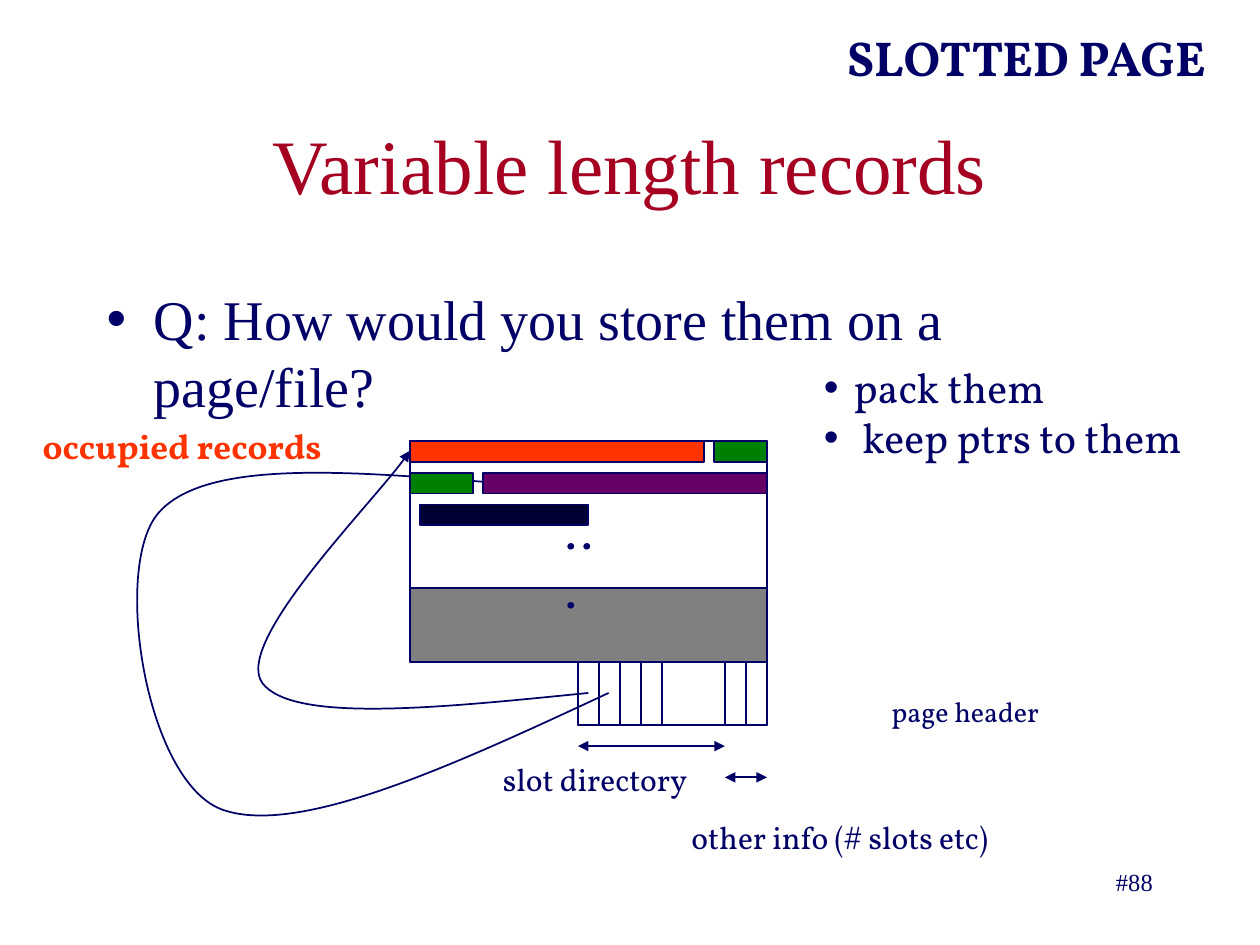
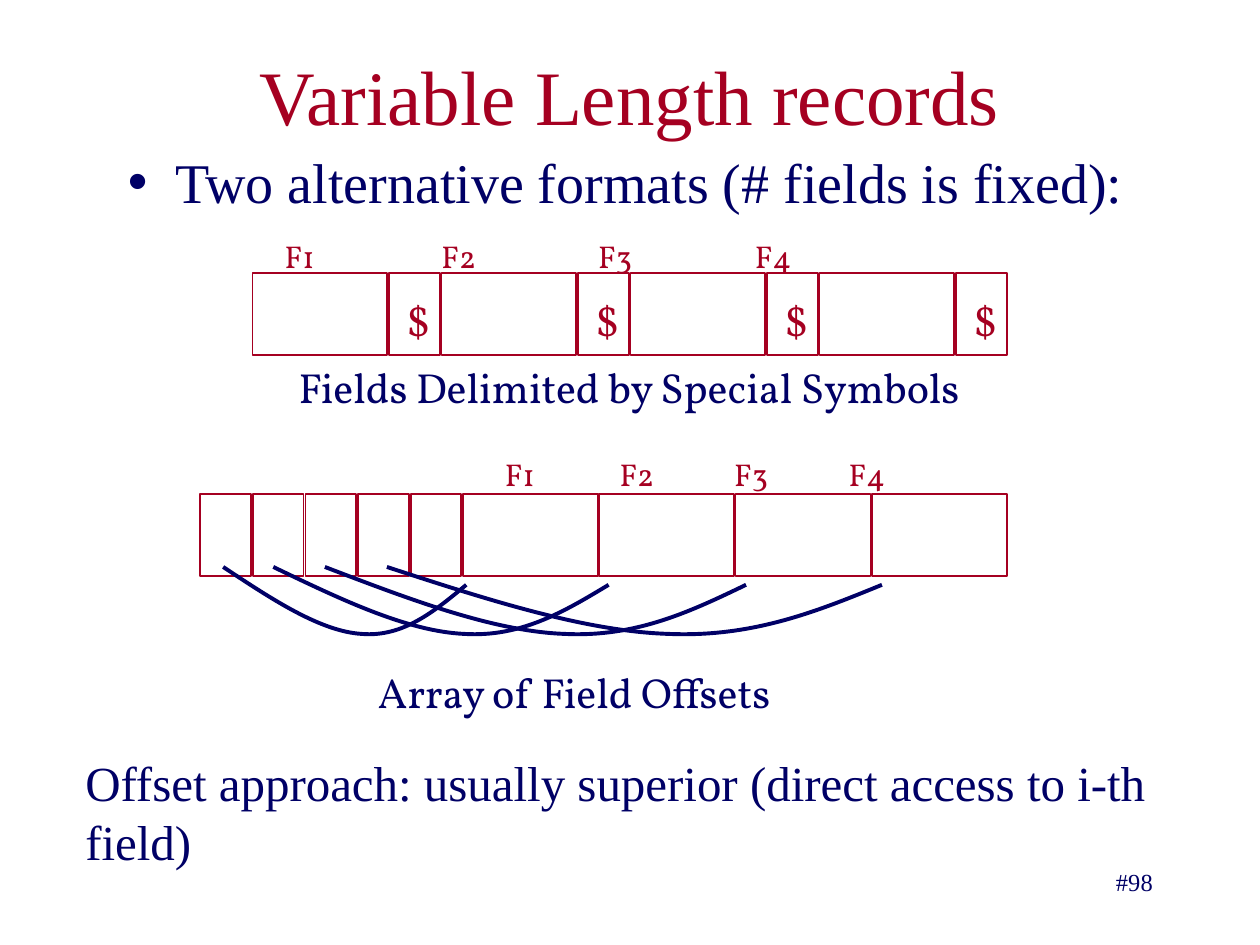
from lxml.etree import SubElement
from pptx import Presentation
from pptx.dml.color import RGBColor
from pptx.enum.shapes import MSO_CONNECTOR, MSO_SHAPE
from pptx.enum.text import MSO_ANCHOR, MSO_AUTO_SIZE, PP_ALIGN
from pptx.oxml.ns import qn
from pptx.util import Cm, Pt

NAVY = "000066"
CRIMSON = "A50021"
ORANGE = "FF3300"
GREEN = "008000"
PURPLE = "660066"
MIDNIGHT = "000033"
GREY = "808080"
SERIF = "Times New Roman"
BOOK = "Vollkorn"

TITLE = {"name": SERIF, "size": Pt(44), "bold": False}
BODY = {"name": SERIF, "size": Pt(32)}
REMARK = {"name": SERIF, "size": Pt(28)}
FOOTER = {"name": SERIF, "size": Pt(14)}
BANNER = {"name": BOOK, "size": Pt(28), "bold": True}
DOTS = {"name": BOOK, "size": Pt(28)}
CAPTION = {"name": BOOK, "size": Pt(24)}
KEY = {"name": BOOK, "size": Pt(20), "bold": True}
LABEL = {"name": BOOK, "size": Pt(18)}
SMALL = {"name": BOOK, "size": Pt(16)}


def paint(color_format, color):
    color_format.rgb = RGBColor.from_string(color)


def set_formats(target, formats):
    for attribute, value in formats.items():
        setattr(target, attribute, value)


def add_bullet(paragraph, indent):
    properties = paragraph._p.get_or_add_pPr()
    properties.set("marL", str(Cm(indent)))
    properties.set("indent", str(-Cm(indent)))
    SubElement(properties, qn("a:buFont"), typeface="Arial")
    SubElement(properties, qn("a:buChar"), char="•")


def add_tabs(paragraph, pitch, count):
    stops = SubElement(paragraph._p.get_or_add_pPr(), qn("a:tabLst"))
    for number in range(1, count + 1):
        SubElement(stops, qn("a:tab"), pos=str(Cm(pitch * number)), algn="l")


def add_text(slide, box, lines, style, color=NAVY, align=PP_ALIGN.LEFT,
             wrap=False, indent=None, tab_pitch=None):
    frame = slide.shapes.add_textbox(*map(Cm, box)).text_frame
    frame.word_wrap = wrap
    for number, line in enumerate(lines):
        paragraph = frame.add_paragraph() if number else frame.paragraphs[0]
        paragraph.alignment = align
        if indent:
            add_bullet(paragraph, indent)
        if tab_pitch:
            add_tabs(paragraph, tab_pitch, line.count("\t"))
        run = paragraph.add_run()
        run.text = line
        set_formats(run.font, style)
        paint(run.font.color, color)


def add_title(slide, box, text):
    title = slide.shapes.title
    left, top, width, height = map(Cm, box)
    set_formats(title, {"left": left, "top": top, "width": width, "height": height})
    frame = title.text_frame
    frame.text = text
    set_formats(frame, {"vertical_anchor": MSO_ANCHOR.MIDDLE, "word_wrap": True,
                        "auto_size": MSO_AUTO_SIZE.NONE})
    paragraph = frame.paragraphs[0]
    paragraph.alignment = PP_ALIGN.CENTER
    font = paragraph.runs[0].font
    set_formats(font, TITLE)
    paint(font.color, CRIMSON)


def start_slide(deck, title_box, title, number):
    slide = deck.slides.add_slide(deck.slide_layouts[5])
    add_title(slide, title_box, title)
    add_text(slide, (18.2, 17.36, 5.29, 1.27), [number], FOOTER,
             align=PP_ALIGN.RIGHT, wrap=True)
    return slide


def add_block(slide, box, fill=None, outline=NAVY):
    block = slide.shapes.add_shape(MSO_SHAPE.RECTANGLE, *map(Cm, box))
    block.shadow.inherit = False
    if fill:
        block.fill.solid()
        paint(block.fill.fore_color, fill)
    else:
        block.fill.background()
    paint(block.line.color, outline)
    block.line.width = Pt(1)


def add_arrowheads(outlined, *ends):
    line = outlined._element.spPr.find(qn("a:ln"))
    for end in ends:
        SubElement(line, qn(f"a:{end}"), type="triangle")


def add_span(slide, left, right, y):
    span = slide.shapes.add_connector(MSO_CONNECTOR.STRAIGHT, Cm(left), Cm(y), Cm(right), Cm(y))
    paint(span.line.color, NAVY)
    span.line.width = Pt(1)
    add_arrowheads(span, "headEnd", "tailEnd")
    SubElement(span._element.spPr, qn("a:effectLst"))


def add_curve(slide, origin, points, weight):
    left, top = origin
    start, *controls = [(Cm(left + x), Cm(top + y)) for x, y in points]
    builder = slide.shapes.build_freeform(*start)
    builder.add_line_segments(controls, close=False)
    curve = builder.convert_to_shape()
    outline = next(curve._element.iter(qn("a:path")))
    segments = outline.findall(qn("a:lnTo"))
    for first in range(0, len(segments), 3):
        bezier = SubElement(outline, qn("a:cubicBezTo"))
        for segment in segments[first:first + 3]:
            bezier.append(segment[0])
            outline.remove(segment)
    curve.shadow.inherit = False
    curve.fill.background()
    paint(curve.line.color, NAVY)
    curve.line.width = Pt(weight)
    return curve


def draw_pointers(slide, origin):
    to_first = [(3.6, 5.08), (0.61, 5.38), (-2.36, 5.69), (-2.97, 4.88),
                (-3.56, 4.06), (-0.48, 0.99), (0, 0.2)]
    to_third = [(4.01, 5.08), (0.86, 6.55), (-2.29, 8), (-3.81, 7.42),
                (-5.33, 6.81), (-5.99, 2.57), (-5.08, 1.47),
                (-4.17, 0.38), (-1.24, 0.61), (1.7, 0.84)]
    for points in (to_first, to_third):
        add_arrowheads(add_curve(slide, origin, points, 1), "tailEnd")


def draw_slots(slide, box):
    left, top, width, height = box
    slot_width = width / 9
    for position in (0, 1, 2, 3, 7, 8):
        add_block(slide, (left + position * slot_width, top, slot_width, height))
    add_block(slide, box)
    info_left = left + 7 * slot_width
    add_span(slide, left, info_left, top + 1.7)
    add_span(slide, info_left, left + width, top + 2.33)
    for x, y, label_width, text, style in [
            (6.07, -0.73, 3.86, "page header", SMALL),
            (-1.76, 0.59, 4.42, "slot directory", LABEL),
            (2.04, 1.76, 7.01, "other info (# slots etc)", LABEL)]:
        label_top = top + height + y
        add_text(slide, (left + x, label_top, label_width, 1.02), [text], style)


def draw_page(slide, box):
    left, top, width, height = box
    free_top = 2.96
    add_block(slide, (left, top + free_top, width, height - free_top), GREY)
    draw_slots(slide, (left + 3.39, top + height, 3.81, 1.27))
    draw_pointers(slide, (left, top))
    add_block(slide, box)
    records = [(0, 0, 5.93, ORANGE), (0, 6.14, 1.06, GREEN),
               (1, 0, 1.27, GREEN), (1, 1.48, 5.72, PURPLE),
               (2, 0.21, 3.39, MIDNIGHT)]
    for row, x, record_width, color in records:
        add_block(slide, (left + x, top + 0.64 * row, record_width, 0.42), color)
    add_text(slide, (left + 2.9, top + 1.07, 1.3, 1.45), ["..."], DOTS, wrap=True)


def slotted_page_slide(deck):
    slide = start_slide(deck, (1.9, 1.7, 21.59, 3.18), "Variable length records", "#88")
    add_text(slide, (1.9, 5.61, 21.59, 3), ["Q: How would you store them on a page/file?"],
             BODY, wrap=True, indent=0.95)
    add_text(slide, (0.61, 8.43, 6.5, 1.12), ["occupied records"], KEY, ORANGE)
    add_text(slide, (16.36, 7.16, 8.13, 2.4), ["pack them", " keep ptrs to them"],
             CAPTION, wrap=True, indent=0.6)
    add_text(slide, (16.74, 0.43, 7.9, 1.45), ["SLOTTED PAGE"], BANNER, align=PP_ALIGN.CENTER)
    draw_page(slide, (8.26, 8.89, 7.2, 4.45))


def add_field_names(slide, left, top, pitch):
    names = "\t".join(f"F{number}" for number in range(1, 5))
    add_text(slide, (left, top, 4 * pitch + 0.5, 1.02), [names], LABEL, CRIMSON,
             wrap=True, tab_pitch=pitch)


def draw_delimited_record(slide, box):
    left, top, width, height = box
    pitch = 3.81
    for number in range(4):
        field_left = left + number * pitch
        delimiter_left = field_left + 2.76
        add_block(slide, (field_left, top, 2.72, height), outline=CRIMSON)
        add_block(slide, (delimiter_left, top, 1.02, height), outline=CRIMSON)
        add_text(slide, (delimiter_left + 0.1, top + 0.3, 0.99, 1.27), ["$"], CAPTION, CRIMSON)
    add_field_names(slide, left + 0.4, top - 0.86, 3.16)
    add_text(slide, (left + 0.68, top + height, 14.6, 1.27),
             ["Fields Delimited by Special Symbols"], CAPTION)


def draw_offset_arc(slide, origin, start, end):
    reach = [(0, 0), (0.2, 0.65), (0.4, 1.3), (0.57, 1.35),
             (0.74, 1.42), (0.87, 0.89), (1, 0.36)]
    points = [(start + share * (end - start), drop) for share, drop in reach]
    add_curve(slide, origin, points, 2.25)


def draw_offset_record(slide, box):
    left, top, width, height = box
    for number in range(5):
        add_block(slide, (left + 1.06 * number, top, 1.02, height), outline=CRIMSON)
    for number in range(4):
        add_block(slide, (left + 5.29 + 2.75 * number, top, 2.72, height), outline=CRIMSON)
    add_field_names(slide, left + 5.89, top - 0.92, 2.31)
    add_text(slide, (left + 3.33, top + 3.35, 8.84, 1.27), ["Array of Field Offsets"], CAPTION)
    for start, end in [(0.46, 5.36), (1.47, 8.23), (2.51, 11), (3.76, 13.74)]:
        draw_offset_arc(slide, (left, top + 1.47), start, end)


def field_formats_slide(deck):
    slide = start_slide(deck, (1.9, 0.64, 21.59, 2.54), "Variable Length records", "#98")
    add_text(slide, (2.33, 2.85, 20.96, 1.9), ["Two alternative formats (# fields is fixed):"],
             BODY, wrap=True, indent=0.95)
    draw_delimited_record(slide, (5.09, 5.51, 15.21, 1.65))
    draw_offset_record(slide, (4.04, 9.96, 16.26, 1.65))
    add_text(slide, (1.47, 15.04, 22.48, 2.64),
             ["Offset approach: usually superior (direct access to i-th field)"],
             REMARK, wrap=True)


def main():
    deck = Presentation()
    deck.slide_width = Cm(25.4)
    deck.slide_height = Cm(19.05)
    slotted_page_slide(deck)
    field_formats_slide(deck)
    deck.save("out.pptx")


if __name__ == "__main__":
    main()
